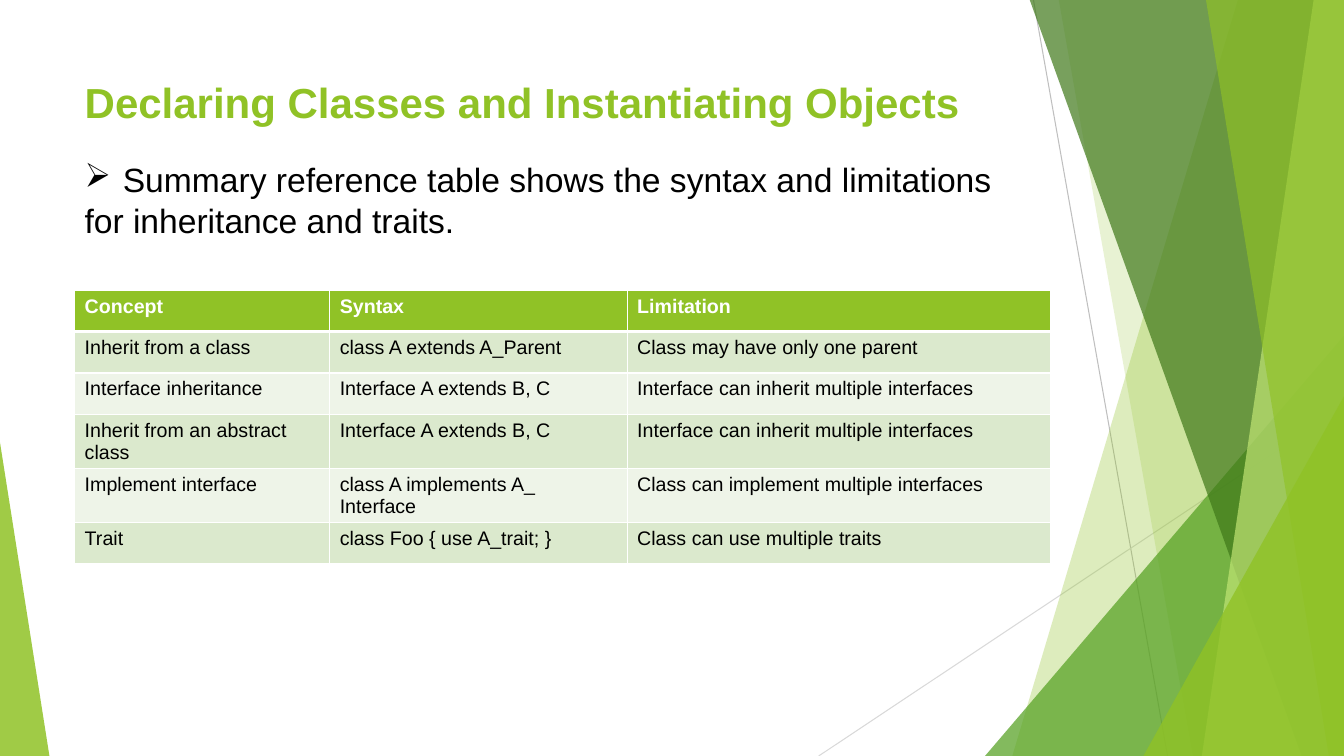
from lxml import etree
from pptx import Presentation
from pptx.dml.color import RGBColor
from pptx.enum.shapes import MSO_CONNECTOR, MSO_SHAPE
from pptx.enum.text import MSO_ANCHOR, PP_ALIGN
from pptx.oxml.ns import qn
from pptx.util import Inches, Pt

# Content
WIDTH, HEIGHT = 13.33, 7.5
GREEN, BLACK, WHITE = "90C226", "000000", "FFFFFF"
ROW_TINTS = ("DBE9CD", "EEF4E8")

TITLE = "Declaring Classes and Instantiating Objects"
SUMMARY = ["Summary reference table shows the syntax and limitations",
           "for inheritance and traits."]
REFERENCE = [
    ("Concept", "Syntax", "Limitation"),
    ("Inherit from a class", "class A extends A_Parent", "Class may have only one parent"),
    ("Interface inheritance", "Interface A extends B, C", "Interface can inherit multiple interfaces"),
    ("Inherit from an abstract class", "Interface A extends B, C", "Interface can inherit multiple interfaces"),
    ("Implement interface", "class A implements A_ Interface", "Class can implement multiple interfaces"),
    ("Trait", "class Foo { use A_trait; }", "Class can use multiple traits"),
]
COLUMN_WIDTHS = (2.53, 2.95, 4.2)
ROW_HEIGHT = 0.41
LEFT, TEXT_WIDTH = 0.74, 9.4

# Thin lines: start, end, colour
RAYS = [((10.25, 0), (11.58, 7.5), "BFBFBF"),
        ((13.33, 4.03), (8.12, 7.5), "D9D9D9")]
# Bands reach the right edge: left x at top, left x at bottom, colour, opacity
# Triangles stand on the bottom edge: left, top, width, apex, colour, opacity
FACETS = [
    ("band", 12.28, 10.04, GREEN, 30),
    ("band", 10.5, 11.83, GREEN, 20),
    ("triangle", 9.77, 3.33, 3.56, 1, "54A021", 72),
    ("band", 10.21, 12.91, "3F7819", 70),
    ("band", 13.03, 11.92, "C0E474", 70),
    ("band", 11.96, 13.18, GREEN, 65),
    ("triangle", 11.34, 3.93, 1.99, 1, GREEN, 80),
    ("triangle", 0, 4.39, 0.49, 0, GREEN, 85),
]


def rgb(colour):
    return RGBColor.from_string(colour)


def write(paragraph, text, size=14, colour=BLACK, bold=False):
    paragraph.alignment = PP_ALIGN.LEFT
    run = paragraph.add_run()
    run.text = text
    font = run.font
    font.name, font.size, font.bold = "Arial", Pt(size), bold
    font.color.rgb = rgb(colour)


def paint(shape, colour, opacity):
    shape.shadow.inherit = False
    shape.fill.solid()
    shape.fill.fore_color.rgb = rgb(colour)
    shape.line.fill.background()
    tone = shape.fill._xPr.find(".//" + qn("a:srgbClr"))
    etree.SubElement(tone, qn("a:alpha"), val=str(opacity * 1000))


def draw_band(top_x, bottom_x):
    corners = [(Inches(x), Inches(y)) for x, y in
               ((top_x, -0.01), (WIDTH, -0.01), (WIDTH, HEIGHT), (bottom_x, HEIGHT))]
    outline = slide.shapes.build_freeform(*corners[0])
    outline.add_line_segments(corners[1:], close=True)
    return outline.convert_to_shape()


def draw_triangle(left, top, width, apex):
    triangle = slide.shapes.add_shape(
        MSO_SHAPE.ISOSCELES_TRIANGLE, Inches(left), Inches(top),
        Inches(width), Inches(HEIGHT - top))
    triangle.adjustments[0] = apex
    return triangle


def border(cell, side, points):
    edge = etree.SubElement(cell._tc.get_or_add_tcPr(), qn("a:" + side), w=str(Pt(points)))
    fill = etree.SubElement(edge, qn("a:solidFill"))
    etree.SubElement(fill, qn("a:srgbClr"), val=WHITE)


prs = Presentation()
prs.slide_width, prs.slide_height = Inches(WIDTH), Inches(HEIGHT)
slide = prs.slides.add_slide(prs.slide_layouts[5])

# Background lines and facets
for start, end, colour in RAYS:
    ray = slide.shapes.add_connector(MSO_CONNECTOR.STRAIGHT, *map(Inches, start + end))
    ray.line.color.rgb = rgb(colour)
    ray.line.width = Pt(0.75)
    etree.SubElement(ray._element.spPr, qn("a:effectLst"))

DRAW = {"band": draw_band, "triangle": draw_triangle}
for kind, *geometry, colour, opacity in FACETS:
    paint(DRAW[kind](*geometry), colour, opacity)

# Title
title = slide.shapes.title
title.left, title.top = Inches(LEFT), Inches(0.67)
title.width, title.height = Inches(TEXT_WIDTH), Inches(0.75)
title.text_frame.word_wrap = True
title.text_frame.vertical_anchor = MSO_ANCHOR.MIDDLE
heading = title.text_frame.paragraphs[0]
heading.line_spacing = 0.9
write(heading, TITLE, size=30, colour=GREEN, bold=True)

# Reference table
reference = slide.shapes.add_table(
    len(REFERENCE), len(COLUMN_WIDTHS), Inches(LEFT), Inches(2.88),
    Inches(sum(COLUMN_WIDTHS)), Inches(ROW_HEIGHT * len(REFERENCE))).table
for column, width in zip(reference.columns, COLUMN_WIDTHS):
    column.width = Inches(width)
for r, entries in enumerate(REFERENCE):
    header = r == 0
    reference.rows[r].height = Inches(ROW_HEIGHT)
    for c, entry in enumerate(entries):
        cell = reference.cell(r, c)
        write(cell.text_frame.paragraphs[0], entry,
              colour=WHITE if header else BLACK, bold=header)
        for side in ("lnL", "lnR", "lnT", "lnB"):
            thick = (header and side == "lnB") or (r == 1 and side == "lnT")
            border(cell, side, 3 if thick else 1)
        cell.fill.solid()
        cell.fill.fore_color.rgb = rgb(GREEN if header else ROW_TINTS[(r - 1) % 2])

# Summary
summary = slide.shapes.add_textbox(
    Inches(LEFT), Inches(1.53), Inches(TEXT_WIDTH), Inches(0.91)).text_frame
summary.word_wrap = True
bulleted, continued = summary.paragraphs[0], summary.add_paragraph()
for paragraph, line in zip((bulleted, continued), SUMMARY):
    write(paragraph, line, size=24)
bullet = bulleted._p.get_or_add_pPr()
bullet.set("marL", str(Inches(0.38)))
bullet.set("indent", str(Inches(-0.38)))
etree.SubElement(bullet, qn("a:buChar"), char="➢")

prs.save("out.pptx")
